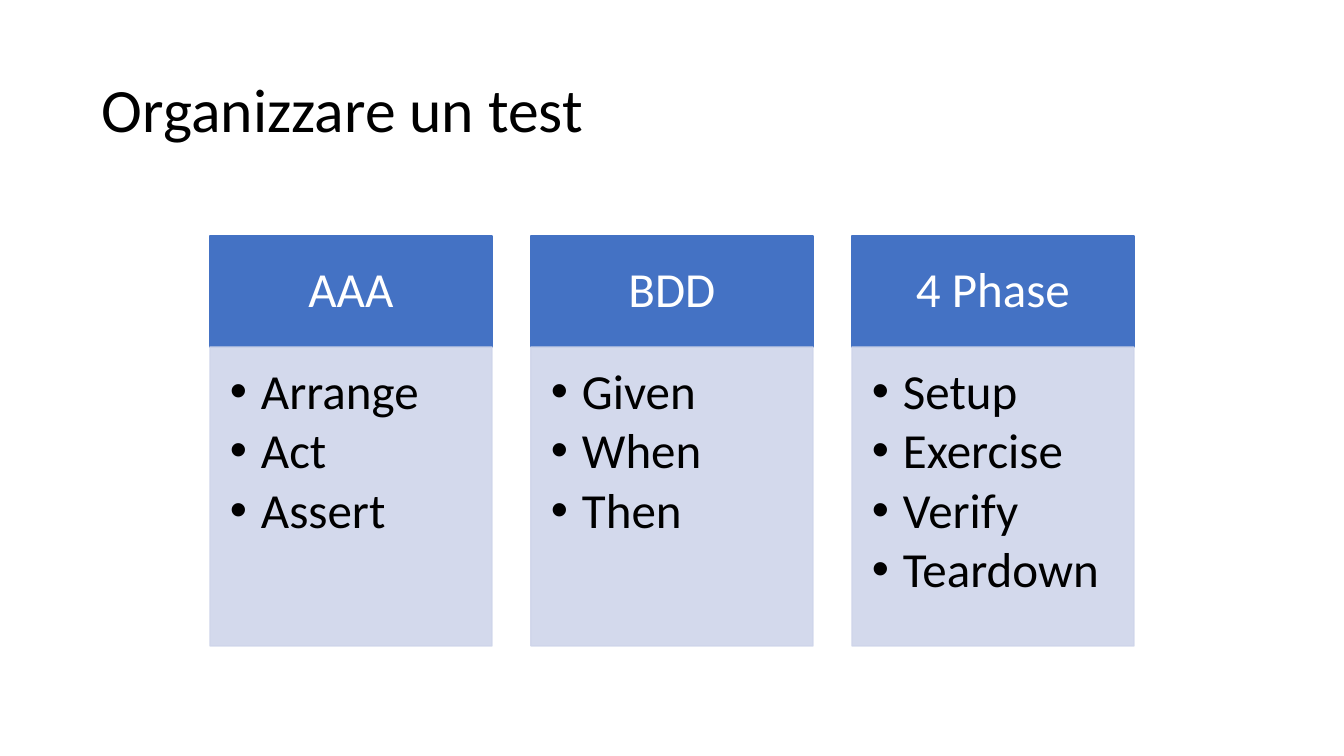
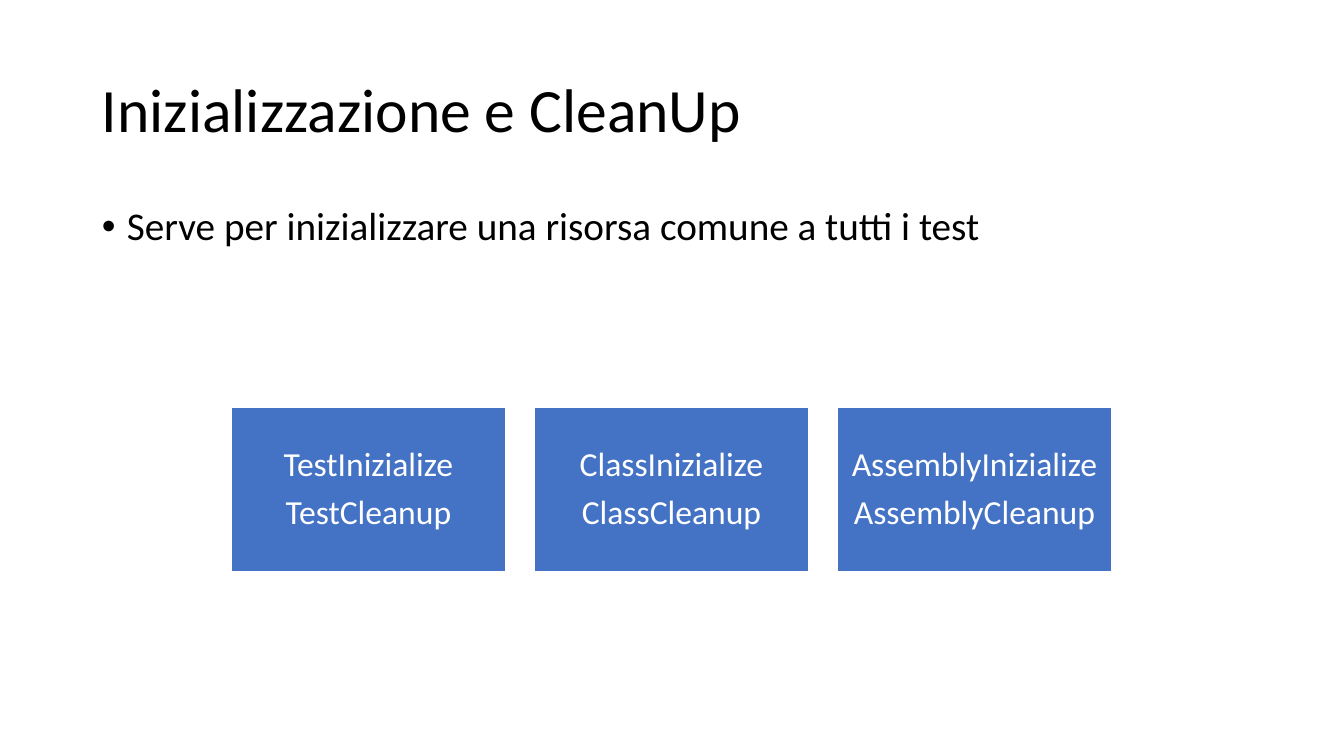
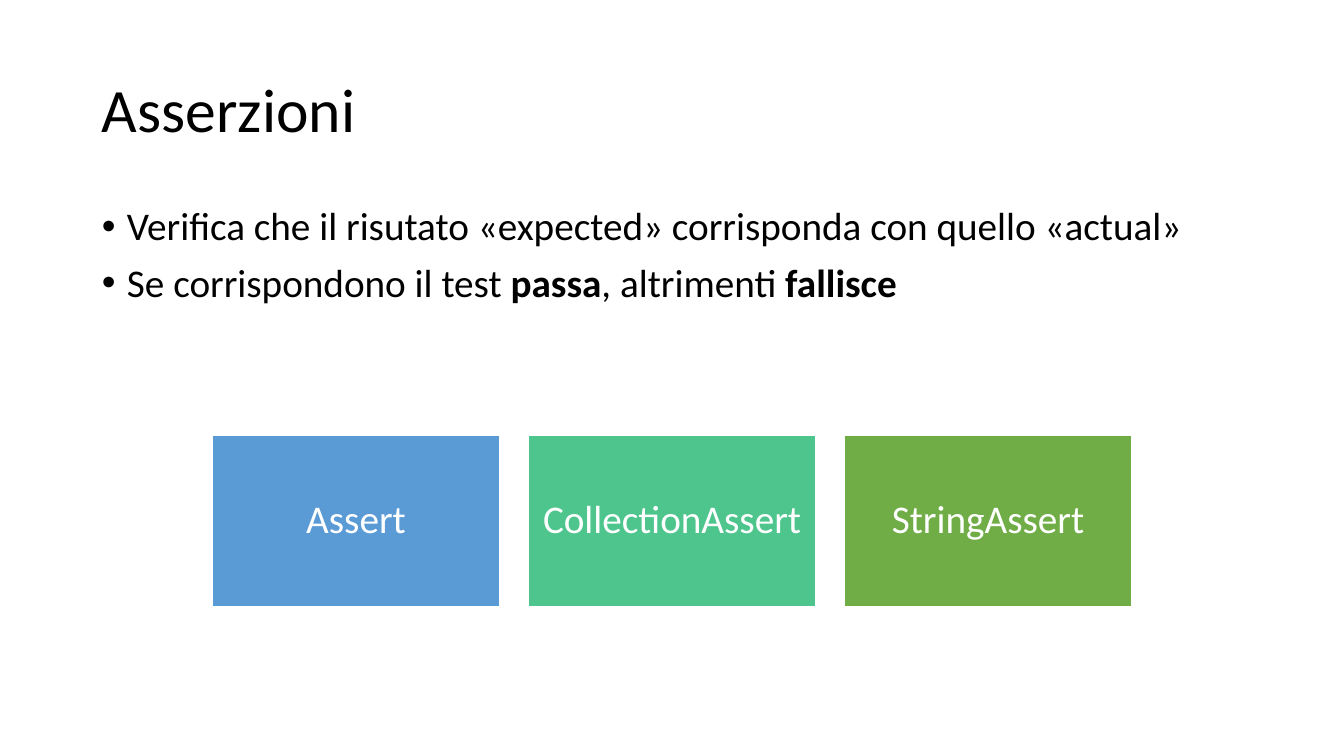
from dataclasses import dataclass
from typing import Iterator, NamedTuple

from lxml.etree import SubElement
from pptx import Presentation
from pptx.dml.color import RGBColor
from pptx.enum.shapes import MSO_SHAPE
from pptx.enum.text import MSO_ANCHOR, PP_ALIGN
from pptx.oxml.ns import qn
from pptx.shapes.autoshape import Shape
from pptx.slide import Slide
from pptx.util import Emu, Pt

PAGE_WIDTH, PAGE_HEIGHT = 1344, 756
EMU_PER_PX = 914400 / 100.8
FONT = "Calibri"
BLACK, WHITE = "000000", "FFFFFF"
BLUE, PALE_BLUE = "4472C4", "CFD5EA"
SKY, MINT, GREEN = "5B9BD5", "4DC58D", "70AD47"


class Span(NamedTuple):
    text: str
    bold: bool = False


class Area(NamedTuple):
    left: int
    top: int
    width: int
    height: int


class Insets(NamedTuple):
    left: int
    top: int
    right: int
    bottom: int


Lines = list[list[Span]]

TITLE_AREA = Area(92, 40, 1159, 146)
BODY_AREA = Area(92, 202, 1159, 480)
TEXT_INSETS = Insets(10, 5, 10, 5)


@dataclass(frozen=True)
class Column:
    heading: str
    steps: list[str]


@dataclass(frozen=True)
class Tile:
    lines: list[str]
    fill: str = BLUE


@dataclass(frozen=True)
class TileRow:
    tiles: list[Tile]
    top: int
    width: int
    height: int
    inset: int
    size: int


@dataclass(frozen=True)
class TilePage:
    title: str
    bullets: Lines
    row: TileRow


COLUMNS = [
    Column("AAA", ["Arrange", "Act", "Assert"]),
    Column("BDD", ["Given", "When", "Then"]),
    Column("4 Phase", ["Setup", "Exercise", "Verify", "Teardown"]),
]

TILE_PAGES = [
    TilePage(
        "Inizializzazione e CleanUp",
        [[Span("Serve per inizializzare una risorsa comune a tutti i test")]],
        TileRow(
            [
                Tile([f"{scope}Inizialize", f"{scope}Cleanup"])
                for scope in ("Test", "Class", "Assembly")
            ],
            top=407, width=275, height=165, inset=10, size=24,
        ),
    ),
    TilePage(
        "Asserzioni",
        [
            [Span("Verifica che il risutato «expected» corrisponda con quello «actual»")],
            [
                Span("Se corrispondono il test "),
                Span("passa", True),
                Span(", altrimenti "),
                Span("fallisce", True),
            ],
        ],
        TileRow(
            [
                Tile(["Assert"], SKY),
                Tile(["CollectionAssert"], MINT),
                Tile(["StringAssert"], GREEN),
            ],
            top=435, width=288, height=172, inset=12, size=28,
        ),
    ),
]


def px(length: int) -> Emu:
    return Emu(round(length * EMU_PER_PX))


def color(value: str) -> RGBColor:
    return RGBColor.from_string(value)


def plain(texts: list[str]) -> Lines:
    return [[Span(text)] for text in texts]


def write_text(
    box: Shape,
    lines: Lines,
    *,
    size: int,
    ink: str = BLACK,
    align: PP_ALIGN = PP_ALIGN.LEFT,
    anchor: MSO_ANCHOR = MSO_ANCHOR.TOP,
    insets: Insets = TEXT_INSETS,
    before: float = 0,
    after: float = 0,
    bullet_indent: int = 0,
) -> None:
    frame = box.text_frame
    frame.word_wrap = True
    frame.vertical_anchor = anchor
    frame.margin_left, frame.margin_top, frame.margin_right, frame.margin_bottom = map(px, insets)
    for index, line in enumerate(lines):
        para = frame.add_paragraph() if index else frame.paragraphs[0]
        para.alignment = align
        para.line_spacing = 0.9
        para.space_before = Pt(before)
        para.space_after = Pt(after)
        if bullet_indent:
            properties = para._p.get_or_add_pPr()
            properties.set("marL", str(px(bullet_indent)))
            properties.set("indent", str(-px(bullet_indent)))
            SubElement(properties, qn("a:buFont")).set("typeface", "Arial")
            SubElement(properties, qn("a:buChar")).set("char", "•")
        for span in line:
            run = para.add_run()
            run.text = span.text
            run.font.name = FONT
            run.font.size = Pt(size)
            run.font.bold = span.bold
            run.font.color.rgb = color(ink)


def add_panel(page: Slide, area: Area, fill: str, line: str, opacity: int = 100) -> Shape:
    panel = page.shapes.add_shape(MSO_SHAPE.RECTANGLE, *map(px, area))
    panel.shadow.inherit = False
    panel.fill.solid()
    panel.fill.fore_color.rgb = color(fill)
    panel.line.color.rgb = color(line)
    panel.line.width = Pt(1)
    if opacity < 100:
        for tint in panel._element.spPr.iter(qn("a:srgbClr")):
            SubElement(tint, qn("a:alpha")).set("val", str(opacity * 1000))
    return panel


def add_text_box(page: Slide, area: Area) -> Shape:
    return page.shapes.add_textbox(*map(px, area))


def add_page(deck: Presentation, title: str) -> Slide:
    page = deck.slides.add_slide(deck.slide_layouts[6])
    box = add_text_box(page, TITLE_AREA)
    write_text(box, plain([title]), size=44, anchor=MSO_ANCHOR.MIDDLE)
    return page


def centred_lefts(count: int, width: int, gap: int) -> Iterator[int]:
    start = (PAGE_WIDTH - count * width - (count - 1) * gap) // 2
    return (start + index * (width + gap) for index in range(count))


def add_columns(page: Slide, columns: list[Column]) -> None:
    width, top, heading_height, steps_height = 282, 236, 111, 299
    for left, column in zip(centred_lefts(len(columns), width, 39), columns):
        heading = add_panel(page, Area(left, top, width, heading_height), BLUE, BLUE)
        write_text(
            heading, plain([column.heading]), size=35, ink=WHITE,
            align=PP_ALIGN.CENTER, anchor=MSO_ANCHOR.MIDDLE,
            insets=Insets(27, 16, 27, 16),
        )
        steps_area = Area(left, top + heading_height, width, steps_height)
        steps = add_panel(page, steps_area, PALE_BLUE, PALE_BLUE, opacity=90)
        write_text(
            steps, plain(column.steps), size=35, after=4.6, bullet_indent=31,
            insets=Insets(20, 20, 27, 31),
        )


def add_tiles(page: Slide, row: TileRow) -> None:
    for left, tile in zip(centred_lefts(len(row.tiles), row.width, 28), row.tiles):
        panel = add_panel(page, Area(left, row.top, row.width, row.height), tile.fill, WHITE)
        write_text(
            panel, plain(tile.lines), size=row.size, ink=WHITE, after=8,
            align=PP_ALIGN.CENTER, anchor=MSO_ANCHOR.MIDDLE,
            insets=Insets(*[row.inset] * 4),
        )


def main() -> None:
    deck = Presentation()
    deck.slide_width, deck.slide_height = px(PAGE_WIDTH), px(PAGE_HEIGHT)
    add_columns(add_page(deck, "Organizzare un test"), COLUMNS)
    for content in TILE_PAGES:
        page = add_page(deck, content.title)
        body = add_text_box(page, BODY_AREA)
        write_text(body, content.bullets, size=28, before=10, bullet_indent=25)
        add_tiles(page, content.row)
    deck.save("out.pptx")


if __name__ == "__main__":
    main()
